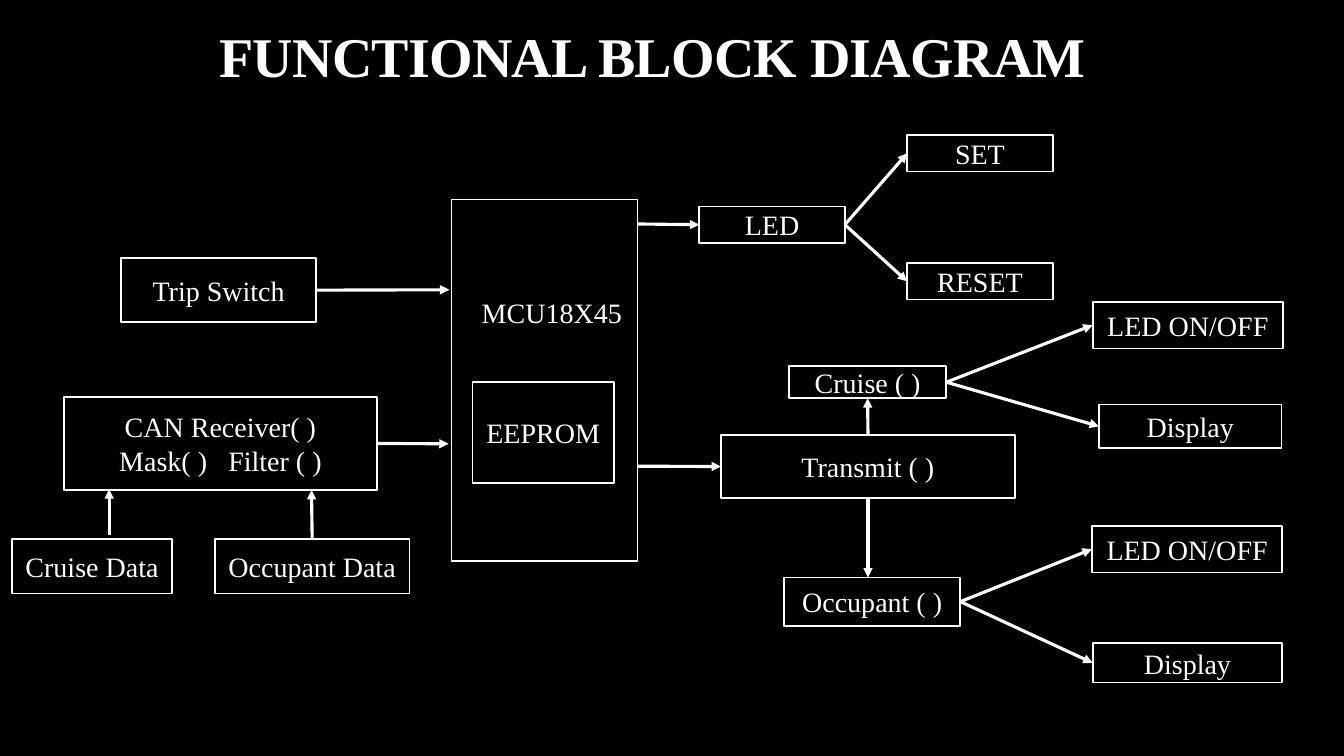
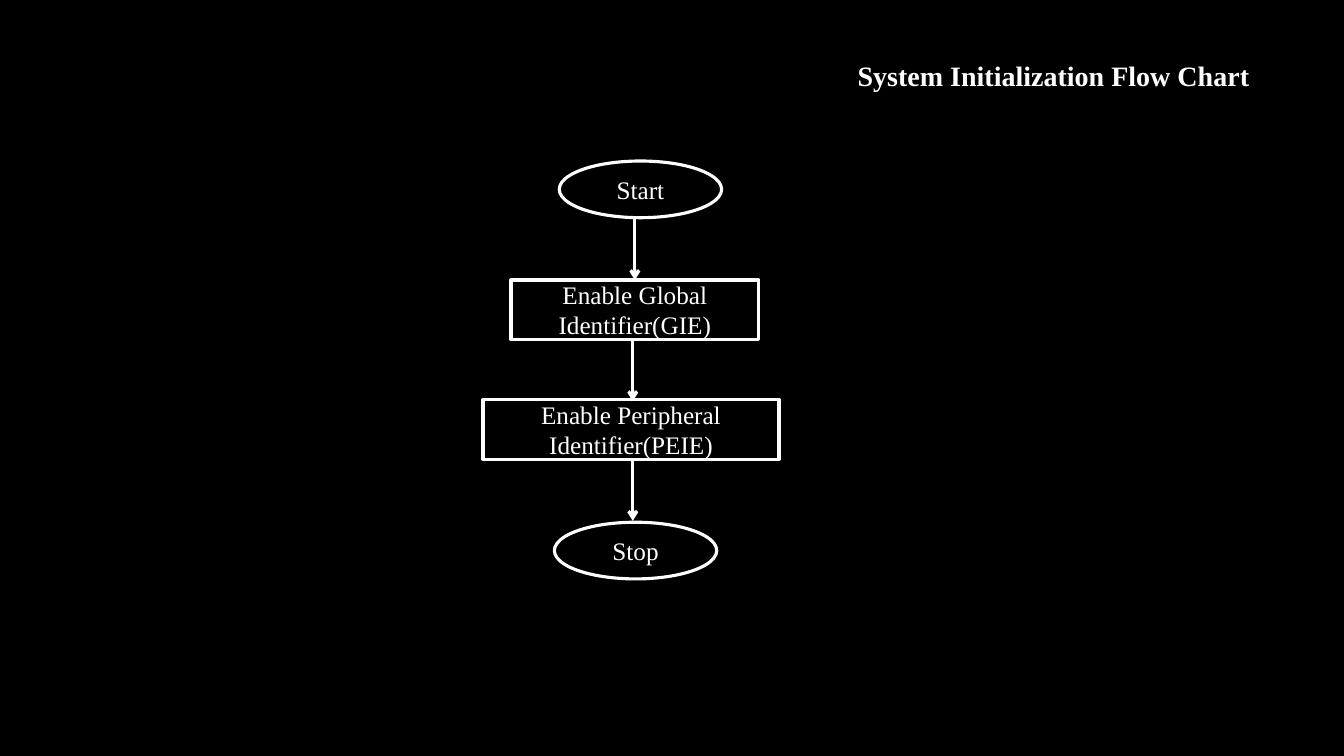
"""Build a block diagram slide and a flow chart slide."""
from lxml.etree import SubElement
from pptx import Presentation
from pptx.dml.color import RGBColor as Rgb
from pptx.enum.shapes import MSO_CONNECTOR as Conn, MSO_SHAPE as Form
from pptx.enum.text import MSO_ANCHOR as Anchor, MSO_AUTO_SIZE as Fit, PP_ALIGN as Align
from pptx.oxml.ns import qn
from pptx.shapes.autoshape import Shape
from pptx.util import Pt

HUES = {"back": "000000", "ink": "FFFFFF"}
FONT = "Times New Roman"
TOP, LEFT, BASE, RIGHT = range(4)


class Deck:
    def __init__(self):
        self.show = Presentation()
        self.show.slide_width, self.show.slide_height = Pt(960), Pt(540)

    def hue(self, name):
        return Rgb.from_string(HUES[name])

    def page(self, size, line, head):
        self.size, self.line, self.head = size, line, head
        self.slide = self.show.slides.add_slide(self.show.slide_layouts[6])
        self.slide.background.fill.solid()
        self.slide.background.fill.fore_color.rgb = self.hue("back")

    def style(self, frame, size, bold=False, align=Align.CENTER):
        for para in frame.paragraphs:
            para.alignment = align
            for run in para.runs:
                font = run.font
                font.name, font.size, font.bold = FONT, Pt(size), bold
                font.color.rgb = self.hue("ink")

    def title(self, x, y, w, h, text, inset):
        frame = self.slide.shapes.add_textbox(*map(Pt, (x, y, w, h))).text_frame
        frame.word_wrap = True
        frame.vertical_anchor = Anchor.BOTTOM
        frame.margin_left = Pt(inset)
        frame.text = text
        self.style(frame, 40, True)
        para = frame.paragraphs[0]
        para.line_spacing = 0.85
        para.runs[0]._r.get_or_add_rPr().set("spc", "-50")

    def label(self, x, y, w, h, text, bold=False):
        frame = self.slide.shapes.add_textbox(*map(Pt, (x, y, w, h))).text_frame
        frame.word_wrap = True
        frame.auto_size = Fit.SHAPE_TO_FIT_TEXT
        frame.text = text
        self.style(frame, 20, bold, Align.LEFT)

    def box(self, x, y, w, h, text="", form=Form.RECTANGLE):
        shape = self.slide.shapes.add_shape(form, *map(Pt, (x, y, w, h)))
        shape.shadow.inherit = False
        shape.fill.background()
        shape.line.color.rgb = self.hue("ink")
        shape.line.width = Pt(self.line)
        frame = shape.text_frame
        frame.word_wrap = True
        frame.vertical_anchor = Anchor.MIDDLE
        frame.text = text
        self.style(frame, self.size)
        return shape

    def pair(self, shape, first, last, gap):
        frame = shape.text_frame
        para = frame.add_paragraph()
        for text in (first, " ", last):
            para.add_run().text = text
        self.style(frame, self.size)
        para.runs[1]._r.get_or_add_rPr().set("spc", str(gap * 100))

    def link(self, start, end):
        wire = self.slide.shapes.add_connector(Conn.STRAIGHT, 0, 0, 0, 0)
        if isinstance(start[0], Shape):
            wire.begin_connect(*start)
        else:
            wire.begin_x, wire.begin_y = map(Pt, start)
        if isinstance(end[0], Shape):
            wire.end_connect(*end)
        else:
            wire.end_x, wire.end_y = map(Pt, end)
        wire.line.color.rgb = self.hue("ink")
        wire.line.width = Pt(2.25)
        SubElement(wire.line._get_or_add_ln(), qn("a:tailEnd"), type=self.head)
        SubElement(wire._element.spPr, qn("a:effectLst"))


def blocks(deck):
    deck.page(20, 1.25, "triangle")
    deck.title(57.5, 3, 732, 64, "FUNCTIONAL BLOCK DIAGRAM", 92)
    deck.box(8.5, 385, 114.5, 39, "Cruise Data")
    data = deck.box(153.5, 385, 139, 39, "Occupant Data")
    can = deck.box(45.5, 283.5, 224, 66.5, "CAN Receiver( )")
    deck.pair(can, "Mask( )", "Filter ( )", 10)
    trip = deck.box(86.5, 184.5, 139.5, 45.5, "Trip Switch")
    deck.box(322.5, 142.5, 133, 258)
    deck.box(337.5, 273, 101, 72, "EEPROM")
    deck.label(337, 207.5, 118, 31.5, "MCU18X45")
    send = deck.box(515, 310.5, 210, 45.5, "Transmit ( )")
    cruise = deck.box(563.5, 261.5, 112.5, 23, "Cruise ( )")
    seat = deck.box(560, 412.5, 126, 34.5, "Occupant ( )")
    lamp = deck.box(499.5, 147.5, 104, 26, "LED")

    forks = (
        (lamp, (648, 96.5, 104, 26, "SET"), (648, 188, 104, 26, "RESET")),
        (cruise, (780.5, 215.5, 136, 33.5, "LED ON/OFF"), (785, 289, 130.5, 31, "Display")),
        (seat, (780, 375.5, 136, 33.5, "LED ON/OFF"), (780.5, 459.5, 135.5, 28, "Display")),
    )
    for root, *ends in forks:
        for spot in ends:
            deck.link((root, RIGHT), (deck.box(*spot), LEFT))

    links = (
        ((78, 382.5), (78, 349.5)),
        ((data, TOP), (222.5, 350)),
        ((trip, RIGHT), (321, 207)),
        ((can, RIGHT), (320.5, 317)),
        ((455.5, 160), (lamp, LEFT)),
        ((455.5, 333), (send, LEFT)),
        ((send, TOP), (cruise, BASE)),
        ((send, BASE), (620, 412.5)),
    )
    for start, end in links:
        deck.link(start, end)


def flow(deck):
    deck.page(18, 2.25, "arrow")
    deck.label(605.5, 38, 295, 31.5, "System Initialization Flow Chart", True)
    deck.box(399.5, 115, 116, 40.5, "Start", Form.OVAL)
    step = deck.box(365, 200, 177, 42.5, "Enable Global Identifier(GIE)")
    deck.box(345, 285.5, 211.5, 42.5, "Enable Peripheral Identifier(PEIE)")
    deck.box(396, 373, 116, 40.5, "Stop", Form.OVAL)
    deck.link((453.5, 156), (step, TOP))
    for y in (243, 328.5):
        deck.link((452, y), (452, y + 43.5))


def main():
    deck = Deck()
    blocks(deck)
    flow(deck)
    deck.show.save("out.pptx")


if __name__ == "__main__":
    main()
